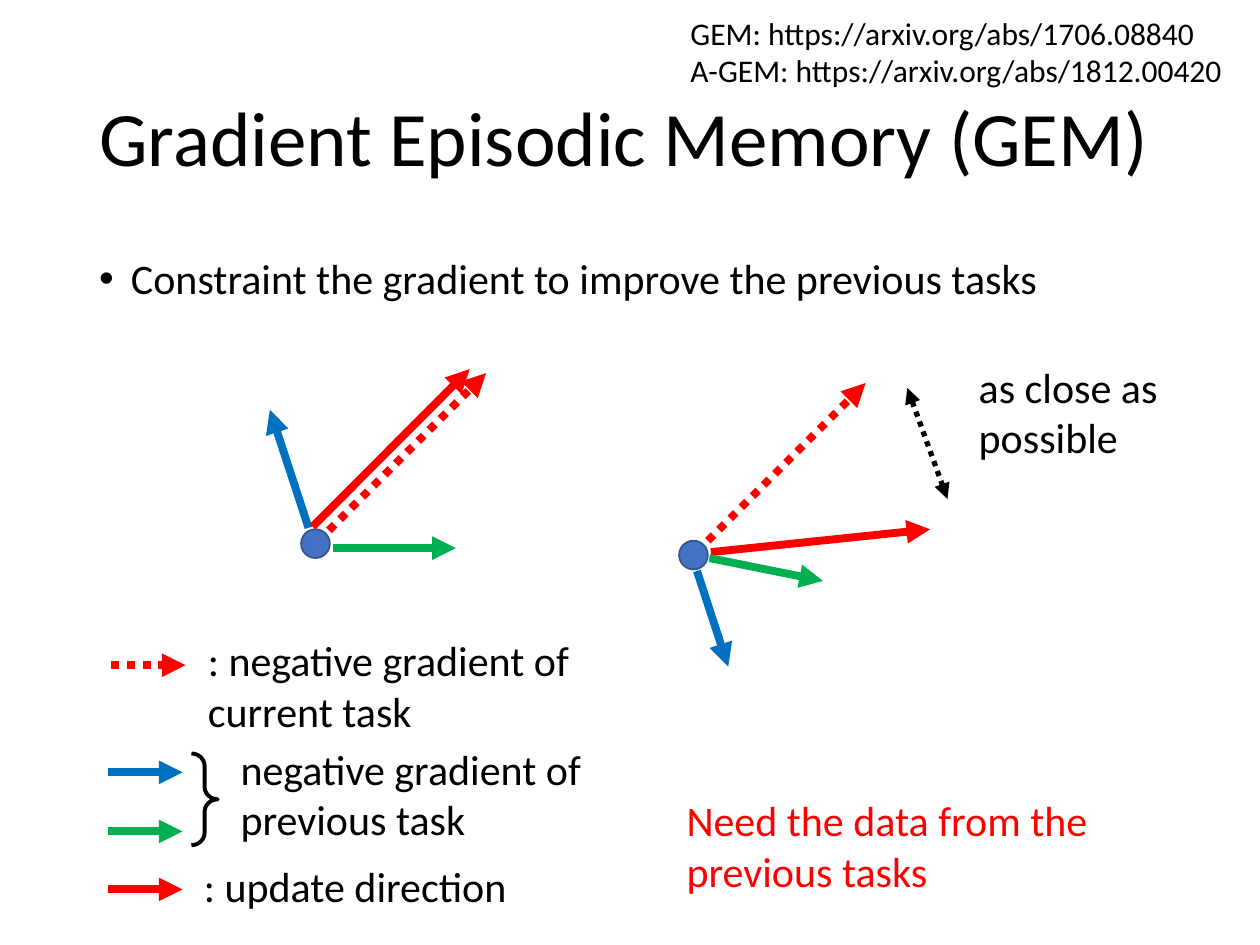
from dataclasses import dataclass
from typing import Any

from pptx import Presentation
from pptx.dml.color import RGBColor
from pptx.enum.dml import MSO_LINE
from pptx.enum.shapes import MSO_CONNECTOR, MSO_SHAPE
from pptx.enum.text import MSO_ANCHOR, PP_ALIGN
from pptx.oxml.ns import qn
from pptx.util import Cm, Pt
from lxml.etree import SubElement


@dataclass(frozen=True)
class Theme:
    font: str = "Calibri"
    text: str = "000000"
    current: str = "FF0000"
    previous_blue: str = "0070C0"
    previous_green: str = "00B050"
    point: str = "4472C4"
    point_outline: str = "325491"
    title_size: int = 44
    body_size: int = 24
    reference_size: int = 18


THEME = Theme()


@dataclass(frozen=True)
class Arrow:
    start: tuple[float, float]
    end: tuple[float, float]
    color: str
    dotted: bool = False
    both_ends: bool = False
    width: float = 4.5


@dataclass(frozen=True)
class Label:
    box: tuple[float, float, float, float]
    lines: tuple[str, ...]
    color: str = THEME.text
    size: int = THEME.body_size
    bullet: bool = False


def legend_arrow(left: float, top: float, color: str, dotted: bool = False) -> Arrow:
    return Arrow((left, top), (left + 1.5, top), color, dotted)


POINTS = [(6.07, 10.67), (13.69, 10.9)]
POINT_SIZE = 0.58

ARROWS = [
    Arrow((6.63, 10.69), (9.8, 7.52), THEME.current, dotted=True),
    Arrow((6.22, 10.64), (5.44, 8.26), THEME.previous_blue),
    Arrow((6.71, 11.05), (9.19, 11.05), THEME.previous_green),
    Arrow((6.3, 10.62), (9.47, 7.44), THEME.current),
    Arrow((14.33, 11.13), (18.75, 10.67), THEME.current),
    Arrow((14.05, 11.51), (14.68, 13.44), THEME.previous_blue),
    Arrow((14.3, 11.25), (16.59, 11.71), THEME.previous_green),
    Arrow((14.27, 10.9), (17.45, 7.72), THEME.current, dotted=True),
    Arrow((18.29, 7.82), (19.1, 10.06), THEME.text, dotted=True, both_ends=True, width=3),
    legend_arrow(2.24, 13.41, THEME.current, dotted=True),
    legend_arrow(2.18, 15.57, THEME.previous_blue),
    legend_arrow(2.18, 16.76, THEME.previous_green),
    legend_arrow(2.18, 17.93, THEME.current),
]

LABELS = [
    Label((1.75, 5.08, 21.9, 1.5),
          ("Constraint the gradient to improve the previous tasks",), bullet=True),
    Label((13.67, 0.15, 11.61, 1.8),
          ("GEM: https://arxiv.org/abs/1706.08840", "A-GEM: https://arxiv.org/abs/1812.00420"),
          size=THEME.reference_size),
    Label((3.94, 12.67, 7.9, 2.31), (": negative gradient of current task",)),
    Label((4.6, 14.86, 7.9, 2.31), ("negative gradient of previous task",)),
    Label((3.86, 17.22, 11.61, 1.27), (": update direction",)),
    Label((19.48, 7.16, 4.67, 2.31), ("as close as possible",)),
    Label((13.59, 15.9, 9.12, 2.31), ("Need the data from the previous tasks",), THEME.current),
]


def apply_format(target: Any, values: dict[str, Any]) -> None:
    for name, value in values.items():
        setattr(target, name, value)


def format_font(font: Any, size: int, color: str) -> None:
    apply_format(font, {"name": THEME.font, "size": Pt(size)})
    font.color.rgb = RGBColor.from_string(color)


def format_line(line: Any, color: str, width: float) -> None:
    line.color.rgb = RGBColor.from_string(color)
    line.width = Pt(width)


def add_bullet(paragraph: Any) -> None:
    properties = paragraph._p.get_or_add_pPr()
    properties.set("marL", str(Cm(0.64)))
    properties.set("indent", str(-Cm(0.64)))
    SubElement(properties, qn("a:buFont"), typeface="Arial")
    SubElement(properties, qn("a:buChar"), char="•")
    paragraph.line_spacing = 0.9


def draw_title(slide: Any, text: str) -> None:
    title = slide.shapes.title
    apply_format(title, {"left": Cm(1.75), "top": Cm(1.02), "width": Cm(21.9), "height": Cm(3.68)})
    apply_format(title.text_frame, {"text": text, "vertical_anchor": MSO_ANCHOR.MIDDLE})
    paragraph = title.text_frame.paragraphs[0]
    apply_format(paragraph, {"alignment": PP_ALIGN.LEFT, "line_spacing": 0.9})
    format_font(paragraph.font, THEME.title_size, THEME.text)


def draw_label(slide: Any, label: Label) -> None:
    frame = slide.shapes.add_textbox(*map(Cm, label.box)).text_frame
    apply_format(frame, {"word_wrap": True, "text": "\n".join(label.lines)})
    for paragraph in frame.paragraphs:
        if label.bullet:
            add_bullet(paragraph)
        format_font(paragraph.font, label.size, label.color)


def draw_arrow(slide: Any, arrow: Arrow) -> None:
    connector = slide.shapes.add_connector(
        MSO_CONNECTOR.STRAIGHT, *map(Cm, arrow.start + arrow.end))
    format_line(connector.line, arrow.color, arrow.width)
    if arrow.dotted:
        connector.line.dash_style = MSO_LINE.ROUND_DOT
    properties = connector._element.spPr
    outline = properties.find(qn("a:ln"))
    for tag in ("a:headEnd", "a:tailEnd") if arrow.both_ends else ("a:tailEnd",):
        SubElement(outline, qn(tag), type="triangle")
    SubElement(properties, qn("a:effectLst"))


def draw_point(slide: Any, left: float, top: float) -> None:
    point = slide.shapes.add_shape(
        MSO_SHAPE.OVAL, *map(Cm, (left, top, POINT_SIZE, POINT_SIZE)))
    point.shadow.inherit = False
    point.fill.solid()
    point.fill.fore_color.rgb = RGBColor.from_string(THEME.point)
    format_line(point.line, THEME.point_outline, 1)


def draw_brace(slide: Any) -> None:
    brace = slide.shapes.add_shape(
        MSO_SHAPE.RIGHT_BRACE, *map(Cm, (3.86, 15.19, 0.53, 1.85)))
    brace.shadow.inherit = False
    brace.fill.background()
    brace.adjustments[0] = 0.47
    format_line(brace.line, THEME.text, 2.25)


def main() -> None:
    presentation = Presentation()
    apply_format(presentation, {"slide_width": Cm(25.4), "slide_height": Cm(19.05)})
    slide = presentation.slides.add_slide(presentation.slide_layouts[5])
    draw_title(slide, "Gradient Episodic Memory (GEM)")
    for label in LABELS:
        draw_label(slide, label)
    for left, top in POINTS:
        draw_point(slide, left, top)
    for arrow in ARROWS:
        draw_arrow(slide, arrow)
    draw_brace(slide)
    presentation.save("out.pptx")


if __name__ == "__main__":
    main()
